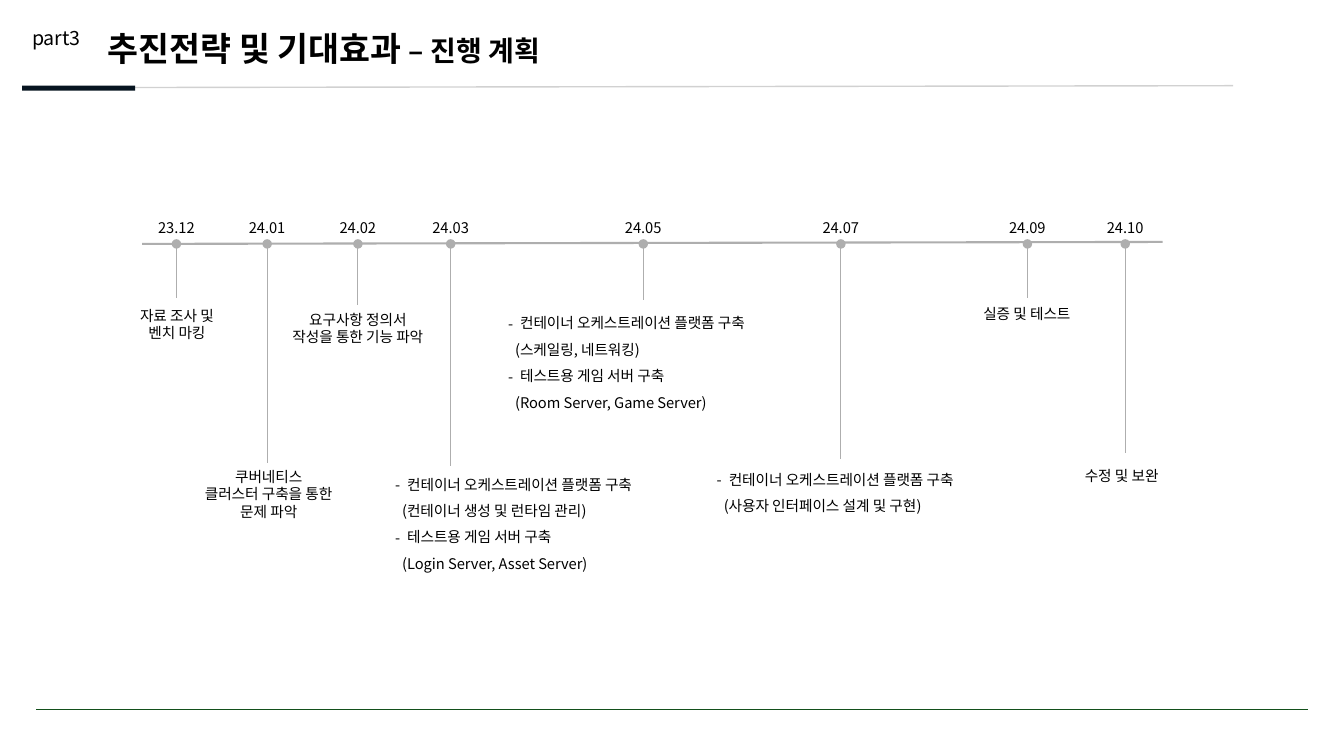
from pptx import Presentation
from pptx.dml.color import RGBColor
from pptx.enum.shapes import MSO_CONNECTOR, MSO_SHAPE
from pptx.enum.text import PP_ALIGN
from pptx.oxml.ns import qn
from pptx.util import Inches, Pt
from lxml.etree import SubElement

COLORS = {"rule": "D1D1D1", "bar": "071420", "foot": "13501B",
          "axis": "AEAEAE", "text": "000000"}
FONT = "Noto Sans CJK KR"
AXIS = 2.42
DOT = 0.08

# date, centre of the dot, lower end of the stem
DATES = [
    ("23.12", 1.75, 2.96),
    ("24.01", 2.65, 4.59),
    ("24.02", 3.55, 3.03),
    ("24.03", 4.47, 4.62),
    ("24.05", 6.38, 2.98),
    ("24.07", 8.34, 4.55),
    ("24.09", 10.19, 2.96),
    ("24.10", 11.16, 4.49),
]

# box, line spacing, lines
TASKS = [
    ((1.23, 2.99, 1.05, 0.45), 1, ["자료 조사 및 벤치 마킹"]),
    ((1.82, 4.59, 1.69, 0.63), 1,
     ["쿠버네티스", "클러스터 구축을 통한", "문제 파악"]),
    ((2.67, 3.03, 1.76, 0.45), 1,
     ["요구사항 정의서", "작성을 통한 기능 파악"]),
    ((9.51, 2.89, 1.35, 0.34), 1.5, ["실증 및 테스트"]),
    ((10.45, 4.49, 1.35, 0.34), 1.5, ["수정 및 보완"]),
]

PLATFORM = "컨테이너 오케스트레이션 플랫폼 구축"
SERVER = "테스트용 게임 서버 구축"

# box, pairs of a dashed item and its detail
PLANS = [
    ((3.82, 4.58, 2.88, 1.14),
     [(PLATFORM, "(컨테이너 생성 및 런타임 관리)"),
      (SERVER, "(Login Server, Asset Server)")]),
    ((4.94, 2.98, 2.88, 1.14),
     [(PLATFORM, "(스케일링, 네트워킹)"),
      (SERVER, "(Room Server, Game Server)")]),
    ((7.01, 4.53, 2.88, 0.87),
     [(PLATFORM, "(사용자 인터페이스 설계 및 구현)")]),
]


class Board:
    """Holds the style and the current slide."""

    def __init__(self, slide):
        self.slide = slide

    def color(self, name):
        return RGBColor.from_string(COLORS[name])

    def line(self, start, end, color, width):
        points = [Inches(n) for n in (*start, *end)]
        line = self.slide.shapes.add_connector(MSO_CONNECTOR.STRAIGHT, *points)
        line.line.color.rgb = self.color(color)
        line.line.width = Pt(width)
        SubElement(line._element.spPr, qn("a:effectLst"))

    def shape(self, kind, box, color, width=0):
        shape = self.slide.shapes.add_shape(kind, *[Inches(n) for n in box])
        shape.shadow.inherit = False
        shape.fill.solid()
        shape.fill.fore_color.rgb = self.color(color)
        if width:
            shape.line.color.rgb = self.color(color)
            shape.line.width = Pt(width)
        else:
            shape.line.fill.background()

    def style(self, run, size, bold=False):
        run.font.name = FONT
        run.font.size = Pt(size)
        run.font.bold = bold
        run.font.color.rgb = self.color("text")
        SubElement(run.font._element, qn("a:ea")).set("typeface", FONT)

    def text(self, box, lines, size=10.5, align=PP_ALIGN.LEFT, space=1):
        """Add a text box with one paragraph per line; return its frame."""
        frame = self.slide.shapes.add_textbox(
            *[Inches(n) for n in box]).text_frame
        frame.word_wrap = True
        frame.text = "\n".join(lines)
        for para in frame.paragraphs:
            para.alignment = align
            para.line_spacing = float(space)
            for run in para.runs:
                self.style(run, size)
        return frame

    def plan(self, box, items):
        lines = [line for pair in items for line in pair]
        frame = self.text(box, lines, space=1.5)
        for i, para in enumerate(frame.paragraphs):
            props = para._p.get_or_add_pPr()
            if i % 2 == 0:
                props.set("marL", str(Inches(0.12)))
                props.set("indent", str(-Inches(0.12)))
                SubElement(props, qn("a:buFont")).set("typeface", FONT)
                SubElement(props, qn("a:buChar")).set("char", "-")
            else:
                props.set("marL", str(Inches(0.07)))
                props.set("indent", "0")

    def title(self, box, main, sub):
        frame = self.text(box, [main], size=24)
        para = frame.paragraphs[0]
        para.runs[0].font.bold = True
        run = para.add_run()
        run.text = sub
        self.style(run, 20, bold=True)

    def date(self, label, x, end):
        self.line((x, AXIS), (x, end), "axis", 0.75)
        self.shape(MSO_SHAPE.OVAL,
                   (x - DOT / 2, AXIS - DOT / 2, DOT, DOT), "axis", 1)
        self.text((x - 0.28, 2.12, 0.99, 0.28), [label])


def main():
    deck = Presentation()
    deck.slide_width = Inches(13.33)
    deck.slide_height = Inches(7.5)
    board = Board(deck.slides.add_slide(deck.slide_layouts[6]))

    board.line((0.45, 0.87), (12.23, 0.85), "rule", 1)
    board.shape(MSO_SHAPE.RECTANGLE, (0.22, 0.85, 1.12, 0.05), "bar")
    board.line((0.36, 7.04), (12.97, 7.04), "foot", 0.75)

    board.line((1.41, AXIS), (11.53, 2.4), "axis", 1.5)
    for date in DATES:
        board.date(*date)
    for box, space, lines in TASKS:
        board.text(box, lines, align=PP_ALIGN.CENTER, space=space)
    for box, items in PLANS:
        board.plan(box, items)

    board.text((0.22, 0.21, 0.86, 0.34), ["part3"], size=14)
    board.title((0.97, 0.23, 5.44, 0.5), "추진전략 및 기대효과 ", "– 진행 계획")
    deck.save("out.pptx")


if __name__ == "__main__":
    main()
